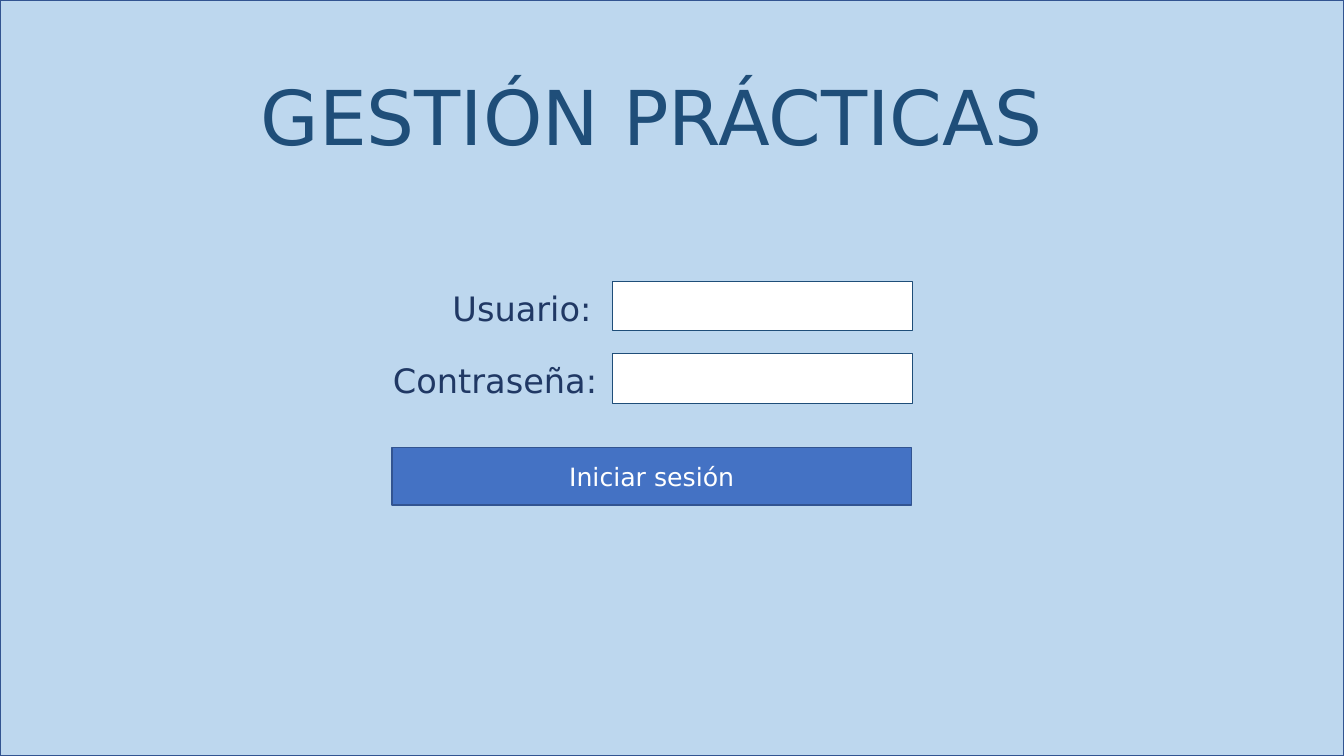
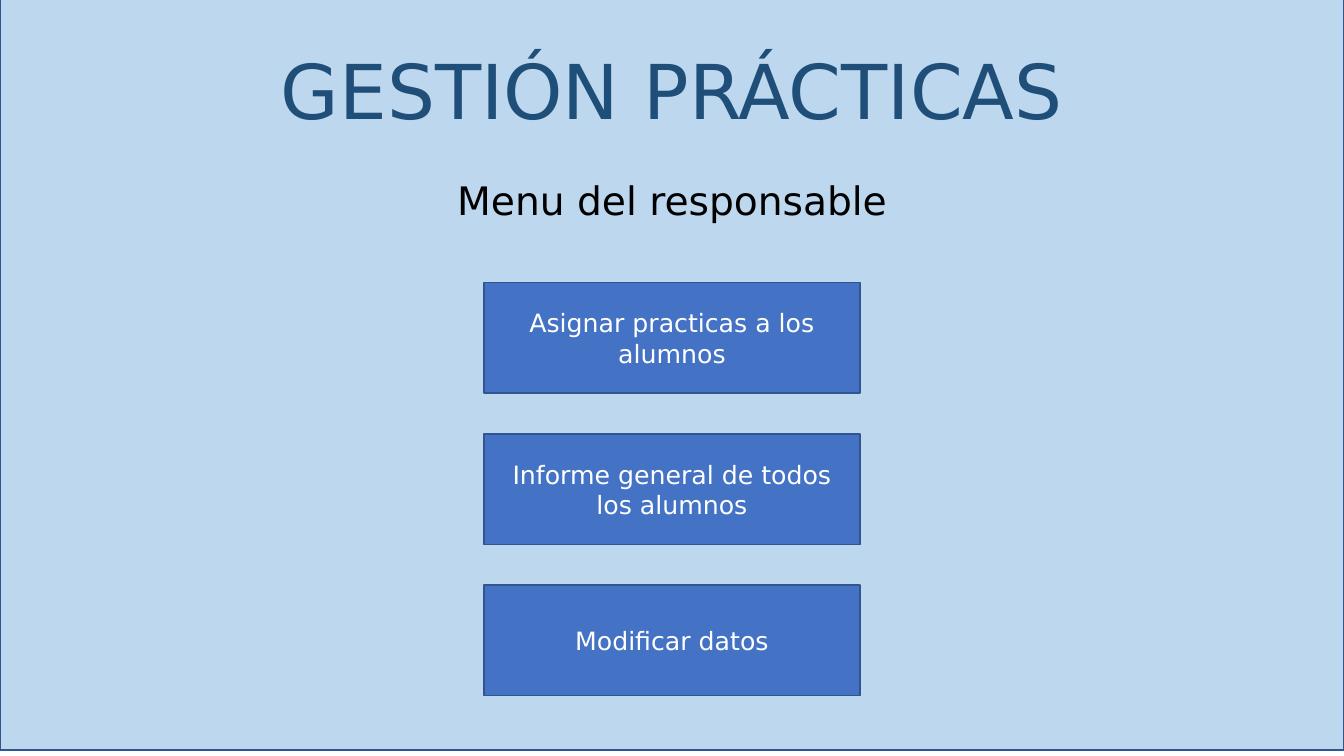
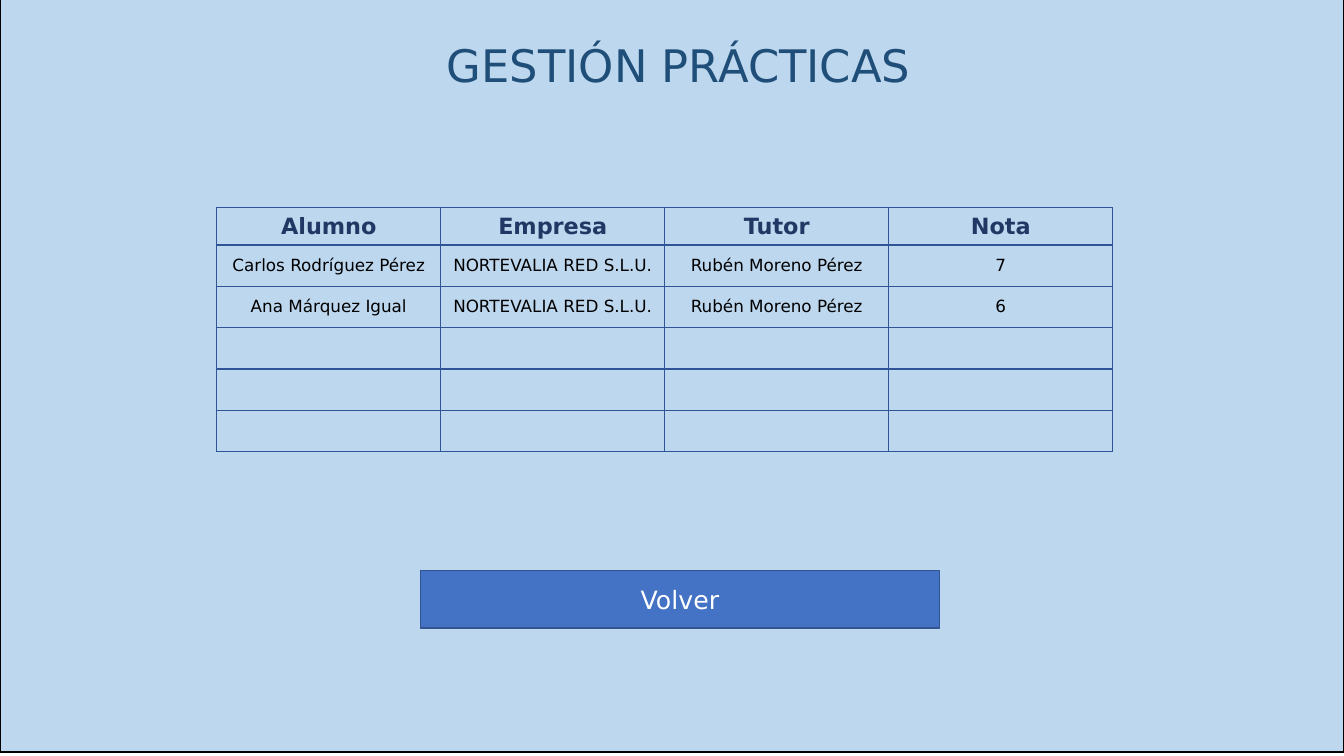
from dataclasses import dataclass

from lxml.etree import SubElement
from pptx import Presentation
from pptx.dml.color import RGBColor
from pptx.enum.shapes import MSO_SHAPE as Preset
from pptx.enum.text import MSO_ANCHOR as Anchor, MSO_AUTO_SIZE as AutoSize, PP_ALIGN as Align
from pptx.oxml.ns import qn
from pptx.shapes.autoshape import Shape
from pptx.slide import Slide
from pptx.table import _Cell as Cell
from pptx.util import Emu, Inches, Pt

WIDTH, HEIGHT = Inches(13.333), Inches(7.5)
FONT = "DejaVu Sans"
APP_NAME = "GESTIÓN PRÁCTICAS"
COLORS = {
    "backdrop": "BDD7EE",
    "button": "4472C4",
    "outline": "325491",
    "title": "1F4E79",
    "label": "203864",
    "grid": "2F5597",
    "white": "FFFFFF",
    "black": "000000",
}


@dataclass(frozen=True)
class Box:
    """A place on the slide, in percent of its width and height."""
    left: float
    top: float
    width: float
    height: float

    def emu(self) -> tuple[Emu, Emu, Emu, Emu]:
        return (across(self.left), down(self.top), across(self.width), down(self.height))


@dataclass(frozen=True)
class TextStyle:
    size: float
    color: str
    align: Align = Align.CENTER
    bold: bool = False


@dataclass(frozen=True)
class LoginField:
    caption: str
    caption_left: float
    caption_width: float


TITLE = TextStyle(54, "title")
SMALL_TITLE = TextStyle(32, "title")
SUBTITLE = TextStyle(28, "black")
LABEL = TextStyle(24, "label", Align.LEFT)
BUTTON = TextStyle(18, "white")
TABLE_HEAD = TextStyle(16, "label", bold=True)
TABLE_BODY = TextStyle(12, "black")

LOGIN_FIELDS = [
    LoginField("Usuario:", 32.93, 15.6),
    LoginField("Contraseña:", 28.5, 17.1),
]
MENU_OPTIONS = [
    "Asignar practicas a los alumnos",
    "Informe general de todos los alumnos",
    "Modificar datos",
]
GRADES = [
    ("Alumno", "Empresa", "Tutor", "Nota"),
    ("Carlos Rodríguez Pérez", "NORTEVALIA RED S.L.U.", "Rubén Moreno Pérez", "7"),
    ("Ana Márquez Igual", "NORTEVALIA RED S.L.U.", "Rubén Moreno Pérez", "6"),
    *[("",) * 4] * 3,
]


def across(percent: float) -> Emu:
    return Emu(round(WIDTH * percent / 100))


def down(percent: float) -> Emu:
    return Emu(round(HEIGHT * percent / 100))


def rgb(color: str) -> RGBColor:
    return RGBColor.from_string(COLORS[color])


def write(target: Shape | Cell, text: str, style: TextStyle) -> None:
    paragraph = target.text_frame.paragraphs[0]
    paragraph.text = text
    paragraph.alignment = style.align
    font = paragraph.font
    font.name, font.size, font.bold = FONT, Pt(style.size), style.bold
    font.color.rgb = rgb(style.color)


def add_rect(slide: Slide, box: Box, fill: str, line: str, line_width: float = 1) -> Shape:
    rect = slide.shapes.add_shape(Preset.RECTANGLE, *box.emu())
    rect.shadow.inherit = False
    rect.fill.solid()
    rect.fill.fore_color.rgb = rgb(fill)
    rect.line.color.rgb = rgb(line)
    rect.line.width = Pt(line_width)
    return rect


def add_text(slide: Slide, box: Box, text: str, style: TextStyle, wrap: bool = False) -> None:
    label = slide.shapes.add_textbox(*box.emu())
    label.text_frame.word_wrap = wrap
    label.text_frame.auto_size = AutoSize.SHAPE_TO_FIT_TEXT
    write(label, text, style)


def add_button(slide: Slide, box: Box, caption: str) -> None:
    button = add_rect(slide, box, "button", "outline")
    button.text_frame.vertical_anchor = Anchor.MIDDLE
    write(button, caption, BUTTON)


def add_screen(deck: Presentation, title_box: Box, title_style: TextStyle = TITLE,
               top: float = 0, frame: str = "outline") -> Slide:
    """Add a slide with the shared backdrop and application title."""
    slide = deck.slides.add_slide(deck.slide_layouts[6])
    add_rect(slide, Box(0, top, 100, 100), "backdrop", frame)
    add_text(slide, title_box, APP_NAME, title_style)
    return slide


def add_borders(cell: Cell) -> None:
    properties = cell._tc.get_or_add_tcPr()
    for side in ("lnL", "lnR", "lnT", "lnB"):
        edge = SubElement(properties, qn(f"a:{side}"), w=str(Pt(1)))
        fill = SubElement(edge, qn("a:solidFill"))
        SubElement(fill, qn("a:srgbClr"), val=COLORS["grid"])


def add_grades(slide: Slide, box: Box, head_height: float, row_height: float) -> None:
    table = slide.shapes.add_table(len(GRADES), len(GRADES[0]), *box.emu()).table
    table.first_row = table.horz_banding = False
    for column in table.columns:
        column.width = across(box.width / len(GRADES[0]))
    for index, (row, values) in enumerate(zip(table.rows, GRADES)):
        row.height = down(row_height if index else head_height)
        for cell, value in zip(row.cells, values):
            add_borders(cell)
            cell.fill.background()
            cell.vertical_anchor = Anchor.MIDDLE
            write(cell, value, TABLE_BODY if index else TABLE_HEAD)


def build_login(deck: Presentation) -> None:
    slide = add_screen(deck, Box(17.1, 8.53, 62.78, 13.47))
    for index, field in enumerate(LOGIN_FIELDS):
        top = 37.2 + 9.6 * index
        add_text(slide, Box(field.caption_left, top + 0.2, field.caption_width, 6.7),
                 field.caption, LABEL, wrap=True)
        add_rect(slide, Box(45.6, top, 22.28, 6.53), "white", "title", 0.75)
    add_button(slide, Box(29.18, 59.2, 38.63, 7.6), "Iniciar sesión")


def build_menu(deck: Presentation) -> None:
    slide = add_screen(deck, Box(18.61, 5.2, 62.78, 13.47), top=-0.8)
    add_text(slide, Box(33.15, 22.67, 33.7, 7.6), "Menu del responsable", SUBTITLE)
    for index, option in enumerate(MENU_OPTIONS):
        add_button(slide, Box(36, 37.4 + 20 * index, 28, 14.6), option)


def build_grades(deck: Presentation) -> None:
    slide = add_screen(deck, Box(31.05, 4.27, 38.93, 8.53), SMALL_TITLE, -0.53, "black")
    add_button(slide, Box(31.28, 75.47, 38.63, 7.6), "Volver")
    add_grades(slide, Box(16.13, 27.47, 66.67, 32.28), 4.93, 5.47)


def main() -> None:
    deck = Presentation()
    deck.slide_width, deck.slide_height = WIDTH, HEIGHT
    for build in (build_login, build_menu, build_grades):
        build(deck)
    deck.save("out.pptx")


if __name__ == "__main__":
    main()
